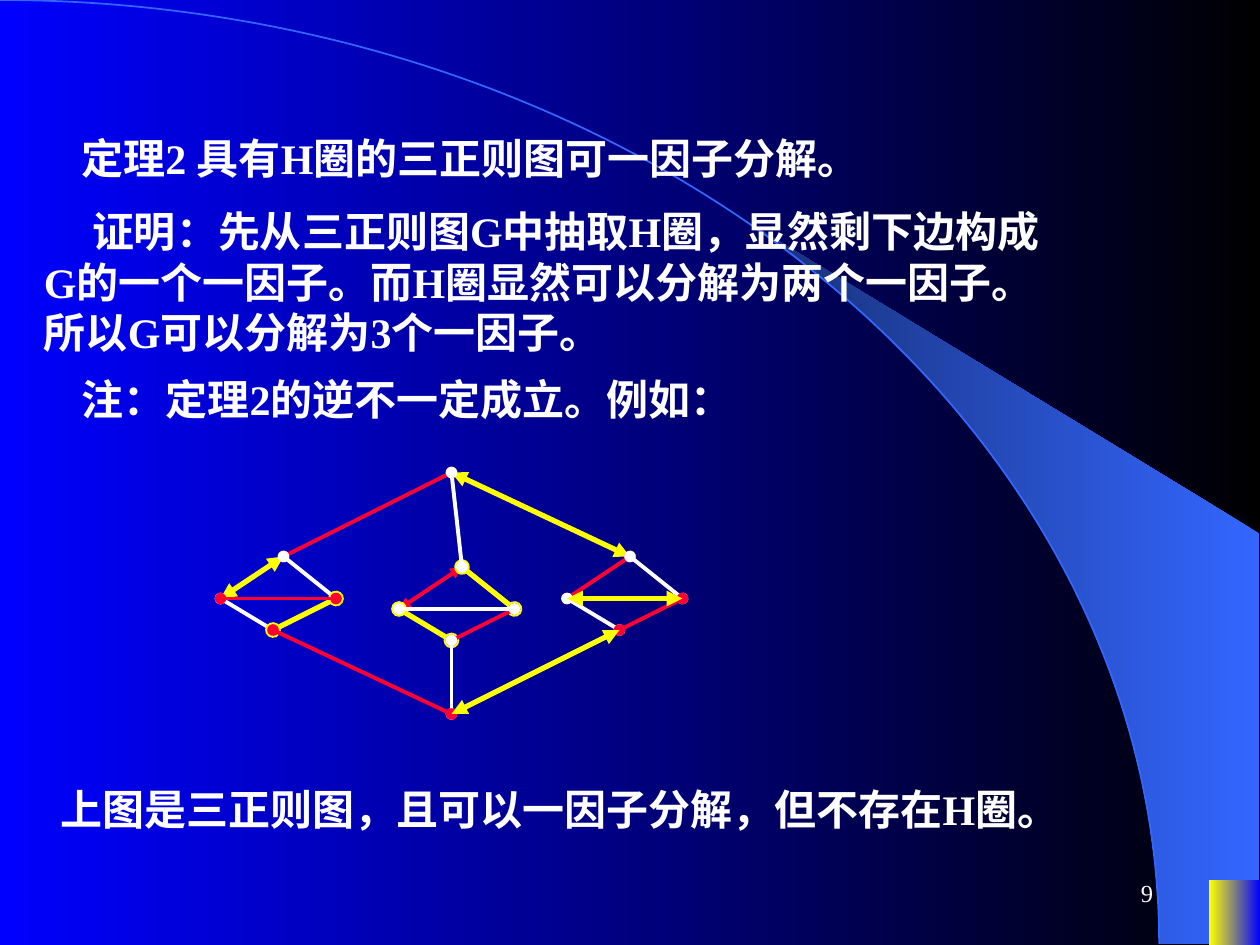
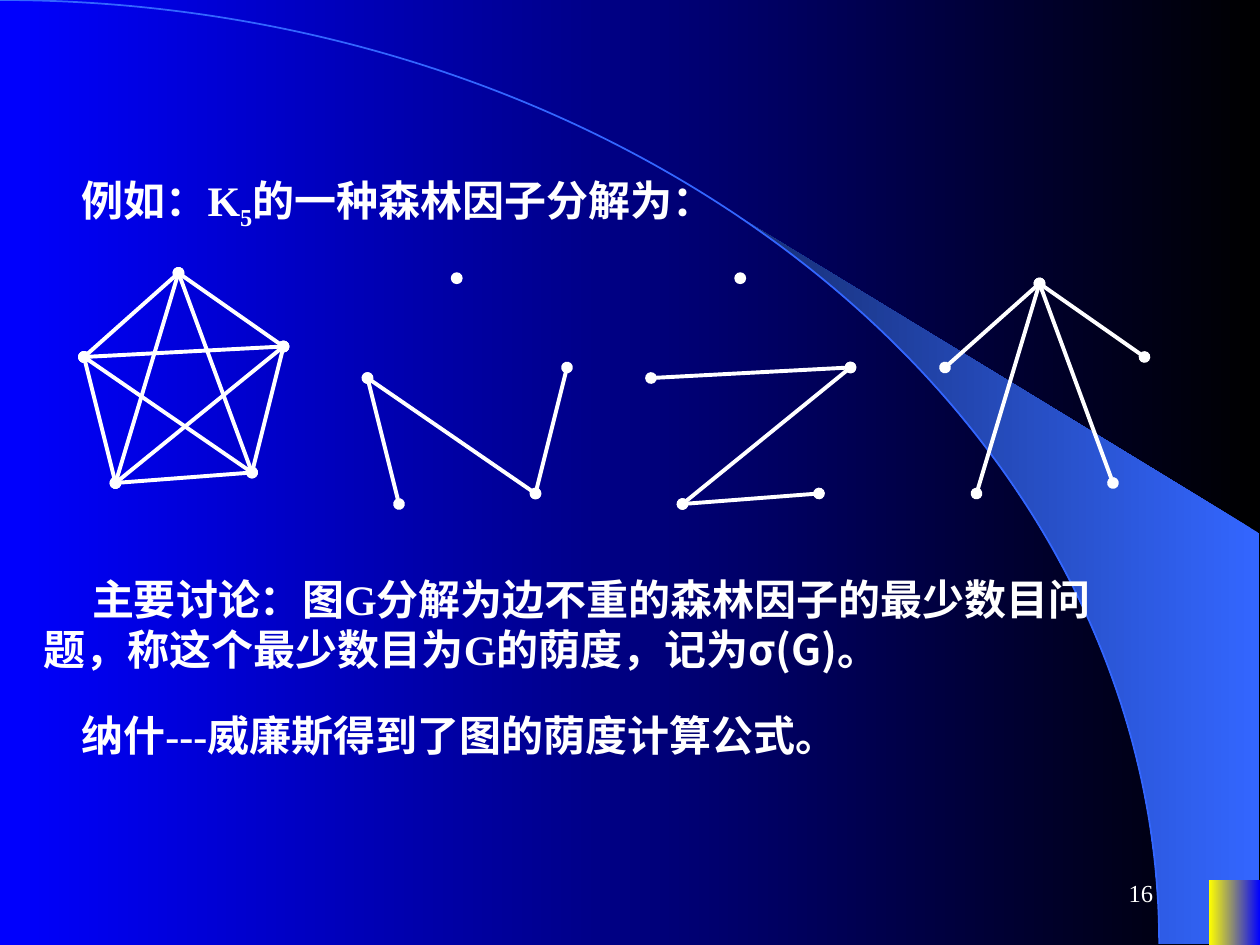
"""Build two graph theory slides on factor decomposition."""
import math
from lxml import etree
from pptx import Presentation
from pptx.dml.color import RGBColor
from pptx.enum import shapes, text
from pptx.oxml import ns
from pptx.util import Pt

WHITE, RED, GOLD = "FFFFFF", "FF0033", "FFFF00"
BLUE, SKY, NAVY, BLACK = "0000FF", "3366FF", "172F75", "000000"
LATIN, HAN = "Times New Roman", "Noto Sans CJK SC"
UNIT = 6
ARC = (662.4, 539.3)
INDENT = 27.5
FRAME = dict(word_wrap=True, margin_left=Pt(7.2), margin_right=Pt(7.2),
             margin_top=Pt(3.6), margin_bottom=Pt(3.6))
BODY = dict(size=Pt(24), bold=True)
SMALL = dict(size=Pt(14), bold=False)

PENS = {
    "white": (WHITE, 2.25, "oval"),
    "red": (RED, 2.25, "oval"),
    "gold": (GOLD, 3, "oval"),
    "redtip": (RED, 2.25, "triangle"),
    "goldtip": (GOLD, 3, "triangle"),
}

DIAMOND = {"l": (0, 0), "t": (6, -4), "r": (11, 0), "b": (5, 3)}
HUBS = {"A": (0, 12), "B": (17, 13), "C": (33, 12)}
CUBIC = {"top": (22, 0), "low": (22, 23)}
CUBIC.update({hub + side: (x + dx, y + dy) for hub, (x, y) in HUBS.items()
              for side, (dx, dy) in DIAMOND.items()})
EDGES = [
    ("top", "At", "red"), ("top", "Ct", "goldtip"),
    ("At", "Al", "goldtip"), ("Al", "Ab", "white"),
    ("At", "Ar", "white"), ("Ar", "Ab", "gold"),
    ("Bt", "Bl", "redtip"), ("Bl", "Bb", "gold"),
    ("Bt", "Br", "gold"), ("Br", "Bb", "red"),
    ("Ct", "Cl", "red"), ("Cl", "Cb", "white"),
    ("Ct", "Cr", "white"), ("Cr", "Cb", "red"),
    ("top", "Bt", "white"), ("Bb", "low", "white"),
    ("Ab", "low", "red"), ("Cb", "low", "goldtip"),
    ("Al", "Ar", "red"), ("Bl", "Br", "white"), ("Cl", "Cr", "goldtip"),
]

PENTA = {"T": (9, 0), "L": (0, 8), "R": (19, 7), "B": (3, 20), "C": (16, 19)}
LONE = (8.5, -1.5)
FOREST = [
    (48, 156, "TL LB TR RC BC TB TC LR RB LC", False),
    (210, 168, "LB RC LC", True),
    (372, 168, "BC LR RB", True),
    (540, 162, "TL TR TB TC", False),
]


def color(code):
    """Turn a hex string into a colour."""
    return RGBColor.from_string(code)


def apply(item, values):
    """Set attributes from a dict of format values."""
    for name, value in values.items():
        setattr(item, name, value)


def blend(fill, first, last):
    """Give a fill a gradient that runs from right to left."""
    fill.gradient()
    fill.gradient_angle = 180
    for stop, code, place in zip(fill.gradient_stops, (first, last), (0, 1)):
        stop.color.rgb = color(code)
        stop.position = place


def curve(angle):
    """Return the point of the big arc at an angle from its top."""
    turn = math.radians(angle)
    wide, high = ARC
    return Pt(wide * math.sin(turn)), Pt(high * (1 - math.cos(turn)))


def backdrop(slide):
    """Draw the background, wedge, arc and corner block."""
    blend(slide.background.fill, BLACK, BLUE)
    wide, high = ARC
    path = slide.shapes.build_freeform(*curve(39.8))
    rim = [curve(40 + 2.5 * step) for step in range(21)]
    side = [(Pt(719.3), Pt(high)), (Pt(719.3), Pt(304.6))]
    path.add_line_segments(rim + side, close=True)
    wedge = path.convert_to_shape()
    wedge.shadow.inherit = False
    blend(wedge.fill, SKY, NAVY)
    wedge.line.fill.background()

    arc = slide.shapes.add_shape(shapes.MSO_SHAPE.ARC, Pt(-wide), Pt(0),
                                 Pt(2 * wide), Pt(2 * high))
    arc.shadow.inherit = False
    arc.fill.background()
    arc.line.color.rgb = color(SKY)
    arc.line.width = Pt(1)

    block = slide.shapes.add_shape(shapes.MSO_SHAPE.RECTANGLE, Pt(691),
                                   Pt(502.8), Pt(29), Pt(37.2))
    block.shadow.inherit = False
    blend(block.fill, BLUE, GOLD)
    block.line.fill.background()


def write(slide, box, runs, look=BODY):
    """Write runs of (words, font, baseline) into a box and return it."""
    area = slide.shapes.add_textbox(*map(Pt, box))
    apply(area.text_frame, FRAME)
    para = area.text_frame.paragraphs[0]
    for words, face, base in runs:
        run = para.add_run()
        run.text = words
        apply(run.font, dict(look, name=face))
        run.font.color.rgb = color(WHITE)
        props = run.font._element
        etree.SubElement(props, ns.qn("a:ea")).set("typeface", HAN)
        if base:
            props.set("baseline", str(base))
    return area


def prose(slide, box, *runs):
    """Write a body paragraph with an indented first line."""
    area = write(slide, box, runs)
    area.text_frame.auto_size = text.MSO_AUTO_SIZE.SHAPE_TO_FIT_TEXT
    para = area.text_frame.paragraphs[0]
    para._p.get_or_add_pPr().set("indent", str(Pt(INDENT)))


def number(slide, page):
    """Write the page number."""
    area = write(slide, (516, 492, 150, 36), [(page, LATIN, 0)], SMALL)
    area.text_frame.vertical_anchor = text.MSO_ANCHOR.MIDDLE
    area.text_frame.paragraphs[0].alignment = text.PP_ALIGN.RIGHT


def edge(group, start, end, pen):
    """Draw one graph edge with marked ends."""
    code, width, mark = PENS[pen]
    link = group.shapes.add_connector(shapes.MSO_CONNECTOR.STRAIGHT,
                                      *map(Pt, start + end))
    link.line.color.rgb = color(code)
    link.line.width = Pt(width)
    for tag in ("a:headEnd", "a:tailEnd"):
        etree.SubElement(link.line._ln, ns.qn(tag)).set("type", mark)
    etree.SubElement(link._element.spPr, ns.qn("a:effectLst"))


def graph(slide, left, top, nodes, edges):
    """Draw a graph from its grid nodes at a corner and return its group."""
    group = slide.shapes.add_group_shape()
    spots = {name: (left + x * UNIT, top + y * UNIT)
             for name, (x, y) in nodes.items()}
    for start, end, pen in edges:
        edge(group, spots[start], spots[end], pen)
    return group


def lone(group, left, top):
    """Draw the isolated vertex of a forest."""
    x, y = LONE
    dot = group.shapes.add_shape(
        shapes.MSO_SHAPE.OVAL, Pt(left + (x - 0.5) * UNIT),
        Pt(top + (y - 0.5) * UNIT), Pt(UNIT), Pt(UNIT))
    dot.shadow.inherit = False
    dot.fill.solid()
    dot.fill.fore_color.rgb = color(WHITE)
    dot.line.color.rgb = color(WHITE)
    dot.line.width = Pt(0.75)


def theorem(slide):
    """Fill the slide on cubic graphs with a Hamilton cycle."""
    backdrop(slide)
    prose(slide, (12, 72, 600, 36),
          ("定理2 具有H圈的三正则图可一因子分解。", LATIN, 0))
    prose(slide, (18, 114, 600, 93.6),
          ("证明：先从三正则图G中抽取H圈，显然剩下边构成G的一个一因子。"
           "而H圈显然可以分解为两个一因子。所以G可以分解为3个一因子。",
           LATIN, 0))
    prose(slide, (12, 210, 600, 36),
          ("注：定理2的逆不一定成立。例如：", LATIN, 0))
    graph(slide, 126, 270, CUBIC, EDGES)
    prose(slide, (0, 444, 600, 36),
          ("上图是三正则图，且可以一因子分解，但不存在H圈。", LATIN, 0))
    number(slide, "9")


def forest(slide):
    """Fill the slide on forest factors of K5."""
    backdrop(slide)
    prose(slide, (12, 96, 630, 40), ("例如：K", LATIN, 0), ("5", LATIN, -25000),
          ("的一种森林因子分解为：", LATIN, 0))
    for left, top, pairs, alone in FOREST:
        edges = [(*pair, "white") for pair in pairs.split()]
        group = graph(slide, left, top, PENTA, edges)
        if alone:
            lone(group, left, top)
    prose(slide, (18, 324, 630, 64.8),
          ("主要讨论：图G分解为边不重的森林因子的最少数目问题，"
           "称这个最少数目为G的荫度，记为", LATIN, 0), ("σ(G)。", HAN, 0))
    prose(slide, (12, 402, 630, 36),
          ("纳什---威廉斯得到了图的荫度计算公式。", LATIN, 0))
    number(slide, "16")


def main():
    """Build and save the deck."""
    deck = Presentation()
    deck.slide_width, deck.slide_height = Pt(720), Pt(540)
    for fill in (theorem, forest):
        fill(deck.slides.add_slide(deck.slide_layouts[6]))
    deck.save("out.pptx")


if __name__ == "__main__":
    main()
